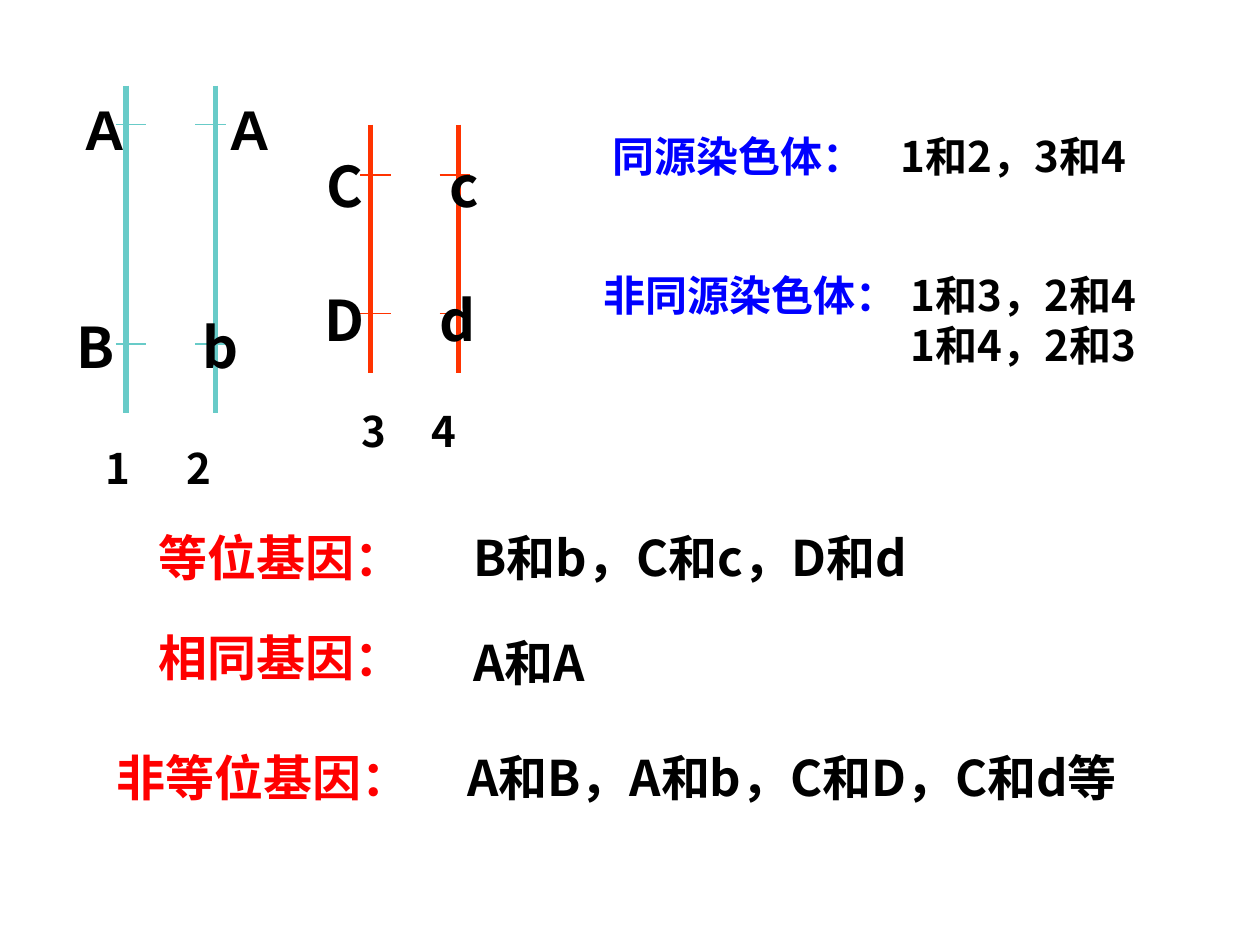
from dataclasses import dataclass
from itertools import product
from lxml.etree import SubElement
from pptx import Presentation
from pptx.dml.color import RGBColor
from pptx.enum.shapes import MSO_CONNECTOR
from pptx.oxml.ns import qn
from pptx.util import Inches, Pt

TEAL = RGBColor(0x68, 0xCB, 0xC8)
ORANGE = RGBColor(0xFF, 0x33, 0x00)
BLUE = RGBColor(0x00, 0x00, 0xFF)
RED = RGBColor(0xFF, 0x00, 0x00)
BLACK = RGBColor(0x00, 0x00, 0x00)
NOTO = "Noto Sans CJK SC"

# Grid of 100 columns by 75 rows
COLS, ROWS = 100, 75
deck = Presentation()
deck.slide_width, deck.slide_height = Inches(10), Inches(7.5)
slide = deck.slides.add_slide(deck.slide_layouts[6])


@dataclass
class Label:
    text: str
    col: float
    row: float
    wide: float
    size: int
    hue: RGBColor = BLACK
    font: str = NOTO
    tab: float = 0  # columns from the first letter to the second


@dataclass
class Pair:
    hue: RGBColor
    rods: tuple[float, float]
    top: float
    foot: float
    marks: tuple[float, float]
    ticks: tuple[float, float]  # left ends of the gene marks
    names: list[Label]


def across(cols: float) -> int:
    return round(deck.slide_width * cols / COLS)


def down(rows: float) -> int:
    return round(deck.slide_height * rows / ROWS)


def draw_line(start: tuple, end: tuple, hue: RGBColor, thick: float) -> None:
    line = slide.shapes.add_connector(
        MSO_CONNECTOR.STRAIGHT,
        across(start[0]), down(start[1]), across(end[0]), down(end[1]))
    line.line.color.rgb = hue
    line.line.width = Pt(thick)
    SubElement(line._element.spPr, qn("a:effectLst"))


def draw_label(label: Label) -> None:
    lines = label.text.split("\n")
    high = (label.size / 6 * len(lines) + 10) / 10
    box = slide.shapes.add_textbox(
        across(label.col), down(label.row), across(label.wide), down(high))
    frame = box.text_frame
    frame.word_wrap = True
    form = {"size": Pt(label.size), "bold": True, "name": label.font}
    for i, line in enumerate(lines):
        para = frame.add_paragraph() if i else frame.paragraphs[0]
        if label.tab:
            stops = SubElement(para._p.get_or_add_pPr(), qn("a:tabLst"))
            SubElement(stops, qn("a:tab"), pos=str(across(label.tab)), algn="l")
        run = para.add_run()
        run.text = line
        for key, value in form.items():
            setattr(run.font, key, value)
        run.font.color.rgb = label.hue
        SubElement(run._r.get_or_add_rPr(), qn("a:ea"), typeface=NOTO)


def draw_pair(pair: Pair) -> None:
    for col in pair.rods:
        draw_line((col, pair.top), (col, pair.foot), pair.hue, 3)
    for row, col in product(pair.marks, pair.ticks):
        draw_line((col, row), (col + 2.4, row), pair.hue, 0.75)
    for name in pair.names:
        draw_label(name)


# Two pairs of chromosomes with their genes
PAIRS = [
    Pair(TEAL, (10, 17.1), 6.8, 32.8, (9.9, 27.3), (9.2, 15.5), [
        Label("1\t2", 7.4, 34.6, 12.2, 24, tab=6.4),
        Label("A\tA", 5.7, 7, 16.9, 32, font="Arial", tab=11.5),
        Label("B\tb", 5.1, 24.3, 17.4, 32, tab=10)]),
    Pair(ORANGE, (29.4, 36.4), 9.9, 29.6, (13.9, 24.9), (28.6, 34.9), [
        Label("3\t4", 27.7, 31.7, 11.1, 24, tab=5.6),
        Label("C\tc", 24.9, 11.5, 16.7, 32, tab=9.8),
        Label("D\td", 24.8, 22.2, 16.5, 32, tab=9.1)]),
]

# Terms and the pairs that answer to them
TERMS = [
    Label("同源染色体：", 47.6, 9.9, 22, 24, BLUE),
    Label("非同源染色体：", 46.9, 20.9, 25.3, 24, BLUE),
    Label("1和2，3和4", 70.5, 9.9, 20.4, 24),
    Label("1和3，2和4\n1和4，2和3", 71.3, 20.9, 20.4, 24),
    Label("B和b，C和c，D和d", 36.6, 41.4, 41.5, 28),
    Label("等位基因：", 11.6, 41.4, 23.1, 28, RED),
    Label("相同基因：", 11.6, 49.3, 21.9, 28, RED),
    Label("非等位基因：", 8.3, 58.8, 25.6, 28, RED),
    Label("A和A", 36.6, 49.7, 26.6, 28),
    Label("A和B，A和b，C和D，C和d等", 36.1, 58.8, 55.3, 28),
]

for pair in PAIRS:
    draw_pair(pair)
for term in TERMS:
    draw_label(term)

deck.save("out.pptx")
